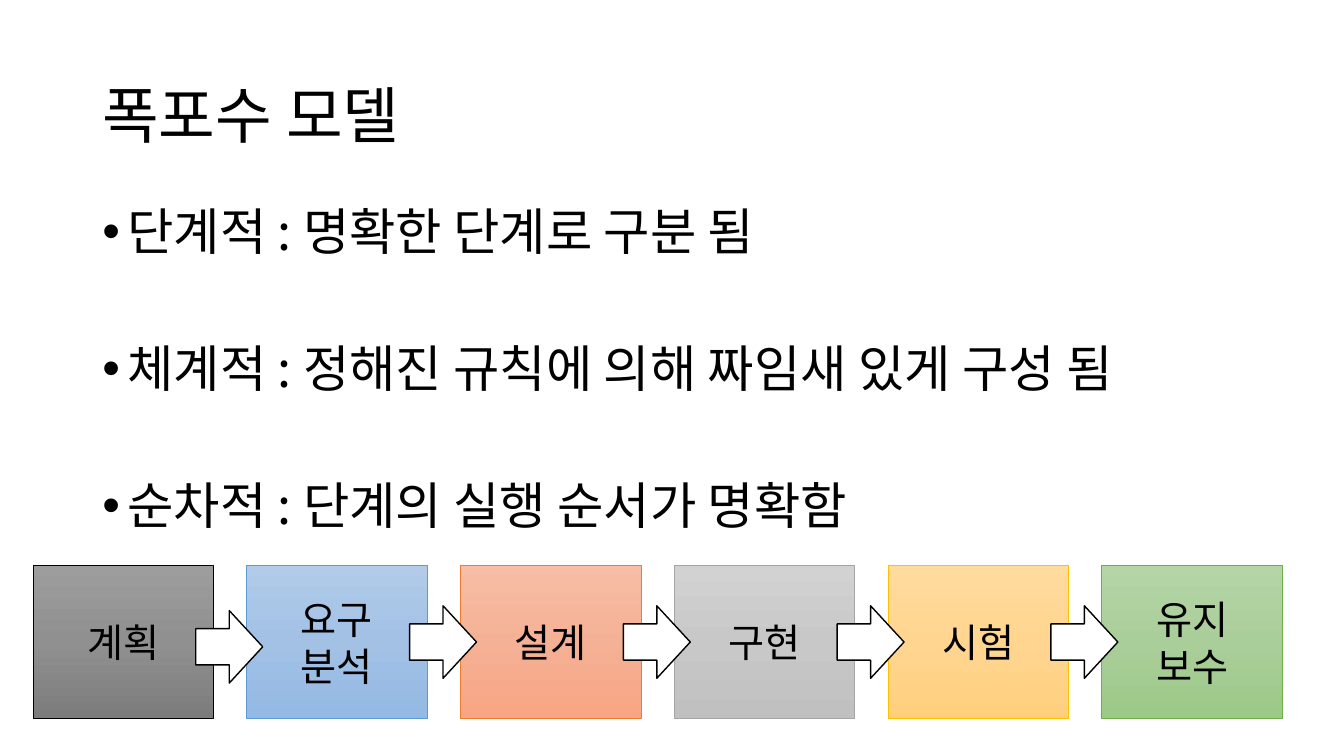
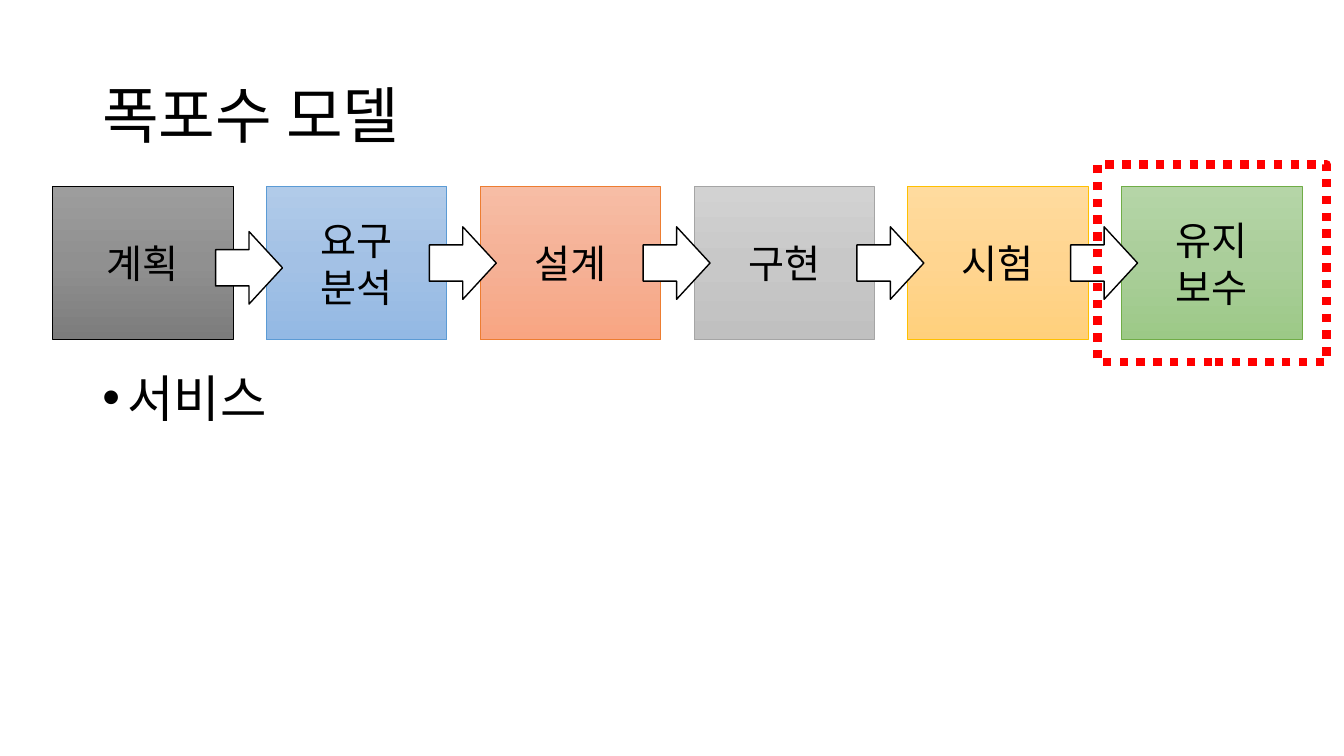
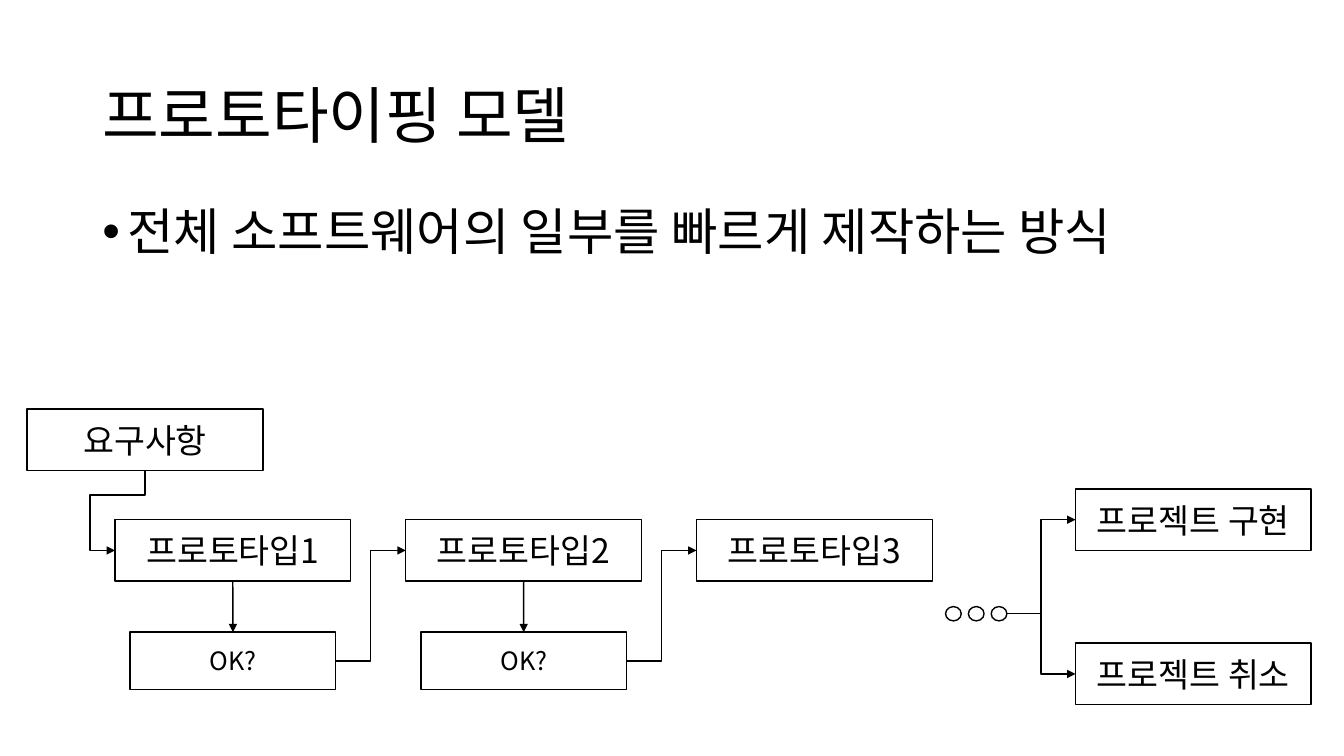
from lxml.etree import SubElement
from copy import deepcopy
from pptx import Presentation
from pptx.dml.color import RGBColor
from pptx.enum.dml import MSO_LINE
from pptx.enum.shapes import MSO_CONNECTOR, MSO_SHAPE
from pptx.enum.text import MSO_ANCHOR, PP_ALIGN
from pptx.oxml.ns import qn
from pptx.util import Pt

FONT = "Noto Sans CJK KR"
COLORS = {"ink": "000000", "paper": "FFFFFF", "focus": "FF0000"}

# Waterfall stages: lines of text, outline, gradient from top to bottom
STAGES = [
    (["계획"], "000000", ("9D9D9D", "909090", "7C7C7C")),
    (["요구", "분석"], "5B9BD5", ("B1CBE9", "A3C1E5", "93B9E4")),
    (["설계"], "ED7D31", ("F7BDA5", "F5B196", "F8A582")),
    (["구현"], "A5A5A5", ("D2D2D2", "C8C8C8", "C0C0C0")),
    (["시험"], "FFC000", ("FFDB9E", "FFD590", "FFD07C")),
    (["유지", "보수"], "70AD47", ("B5D5A7", "AACE9A", "9CC987")),
]
STAGE_W, STAGE_H, STAGE_PITCH = 128.9, 109.6, 152.7
TITLE_LEFT, TITLE_WIDTH = 66, 828


def rgb(color):
    return RGBColor.from_string(COLORS.get(color, color))


def points(*lengths):
    return [Pt(length) for length in lengths]


def write(holder, lines, size=24, align=PP_ALIGN.CENTER, anchor=MSO_ANCHOR.MIDDLE,
          leading=1.2, gap=0, bullet=None):
    frame = holder.text_frame
    frame.word_wrap = True
    frame.vertical_anchor = anchor
    for i, line in enumerate(lines):
        paragraph = frame.add_paragraph() if i else frame.paragraphs[0]
        paragraph.alignment = align
        paragraph.line_spacing = Pt(size * leading)
        paragraph.space_before = Pt(gap if i else 0)
        run = paragraph.add_run()
        run.text = line
        run.font.size = Pt(size)
        run.font.name = FONT
        run.font.color.rgb = rgb("ink")
        SubElement(run.font._element, qn("a:ea"), typeface=FONT)
        if bullet:
            props = paragraph._p.get_or_add_pPr()
            props.set("marL", str(Pt(18)))
            props.set("indent", str(Pt(-18)))
            SubElement(props, qn("a:buFont"), typeface="Arial")
            SubElement(props, qn("a:buChar"), char=bullet)


def add_figure(slide, preset, box, fill="paper", line="ink", weight=1):
    figure = slide.shapes.add_shape(preset, *points(*box))
    figure.shadow.inherit = False
    figure.line.color.rgb = rgb(line)
    figure.line.width = Pt(weight)
    if fill:
        figure.fill.solid()
        figure.fill.fore_color.rgb = rgb(fill)
    else:
        figure.fill.background()
    return figure


def add_step(slide, left, top, label, width=168.4, height=44, size=24):
    step = add_figure(slide, MSO_SHAPE.RECTANGLE, (left, top, width, height))
    write(step, [label], size=size)
    return step


def shade(figure, colors):
    """Fill from top to bottom with three colours."""
    figure.fill.gradient()
    figure.fill.gradient_angle = 270
    stop_list = figure._element.spPr.find(".//" + qn("a:gsLst"))
    stop_list.insert(1, deepcopy(stop_list[0]))
    for stop, color, position in zip(figure.fill.gradient_stops, colors, (0, 0.5, 1)):
        stop.color.rgb = rgb(color)
        stop.position = position


def add_arrow(slide, start, end, kind=MSO_CONNECTOR.ELBOW):
    arrow = slide.shapes.add_connector(kind, *points(*start, *end))
    arrow.line.color.rgb = rgb("ink")
    arrow.line.width = Pt(1)
    SubElement(arrow.line._get_or_add_ln(), qn("a:tailEnd"), type="triangle")
    SubElement(arrow._element.spPr, qn("a:effectLst"))
    return arrow


def join(slide, source, source_side, target, target_side, kind=MSO_CONNECTOR.ELBOW):
    arrow = add_arrow(slide, (0, 0), (0, 0), kind)
    arrow.begin_connect(source, source_side)
    arrow.end_connect(target, target_side)


def add_wrap_arrow(slide, start, end, drop, overshoot):
    """Go down from start, left past end, then right into end."""
    run, rise = end[1] - start[1], start[0] - end[0]
    center_x, center_y = (start[0] + end[0]) / 2, (start[1] + end[1]) / 2
    arrow = add_arrow(slide, (center_x - run / 2, center_y - rise / 2),
                      (center_x + run / 2, center_y + rise / 2))
    properties = arrow._element.spPr
    properties.find(qn("a:xfrm")).set("rot", "5400000")
    geometry = properties.find(qn("a:prstGeom"))
    geometry.set("prst", "bentConnector4")
    guides = geometry.find(qn("a:avLst"))
    if guides is None:
        guides = SubElement(geometry, qn("a:avLst"))
    for name, share in (("adj1", drop / run), ("adj2", 1 + overshoot / rise)):
        SubElement(guides, qn("a:gd"), name=name, fmla=f"val {round(share * 100000)}")


def add_content_slide(deck, title, bullets, top=144, height=342.7):
    slide = deck.slides.add_slide(deck.slide_layouts[6])
    heading = slide.shapes.add_textbox(*points(TITLE_LEFT, 28.8, TITLE_WIDTH, 104.4))
    write(heading, [title], size=44, align=PP_ALIGN.LEFT)
    body = slide.shapes.add_textbox(*points(TITLE_LEFT, top, TITLE_WIDTH, height))
    write(body, bullets, size=36, align=PP_ALIGN.LEFT, anchor=MSO_ANCHOR.TOP,
          leading=1.08, gap=59, bullet="•")
    return slide


def add_waterfall(slide, left, top):
    for i, (lines, outline, colors) in enumerate(STAGES):
        stage = add_figure(slide, MSO_SHAPE.RECTANGLE,
                           (left + i * STAGE_PITCH, top, STAGE_W, STAGE_H),
                           line=outline, weight=0.5)
        shade(stage, colors)
        write(stage, lines, size=28)
    for i in range(len(STAGES) - 1):
        arrow_top = top + (28.8 if i else 32.2)
        add_figure(slide, MSO_SHAPE.RIGHT_ARROW,
                   (left + 116.4 + i * STAGE_PITCH, arrow_top, 47.8, 51.8))


def add_prototyping_flow(slide):
    # Requirements and prototype rounds
    add_step(slide, 19.4, 292.1, "요구사항")
    prototypes = [add_step(slide, 82.1 + i * 207.7, 371.2, f"프로토타입{i + 1}")
                  for i in range(3)]
    add_wrap_arrow(slide, (103.6, 336.1), (82.1, 393.2), drop=17.6, overshoot=18)
    for i, (current, following) in enumerate(zip(prototypes, prototypes[1:])):
        check = add_step(slide, 92.9 + i * 207.7, 451.6, "OK?", width=147, height=41, size=18)
        join(slide, current, 2, check, 0, MSO_CONNECTOR.STRAIGHT)
        join(slide, check, 3, following, 1)

    # Further rounds, then the two outcomes
    for i in range(3):
        add_figure(slide, MSO_SHAPE.OVAL, (675.4 + i * 16.3, 433.3, 11.2, 10.2))
    for top, label in ((349.2, "프로젝트 구현"), (459.4, "프로젝트 취소")):
        add_step(slide, 768.2, top, label)
        add_arrow(slide, (719.2, 438.4), (768.2, top + 22))


def main():
    deck = Presentation()
    deck.slide_width, deck.slide_height = points(960, 540)

    traits = add_content_slide(deck, "폭포수 모델", [
        "단계적 : 명확한 단계로 구분 됨",
        "체계적 : 정해진 규칙에 의해 짜임새 있게 구성 됨",
        "순차적 : 단계의 실행 순서가 명확함",
    ])
    add_waterfall(traits, 23.5, 403.9)

    maintenance = add_content_slide(deck, "폭포수 모델", ["서비스"], top=262.8, height=260.6)
    add_waterfall(maintenance, 37.6, 133.2)
    focus = add_figure(maintenance, MSO_SHAPE.RECTANGLE, (784.1, 117.4, 163.4, 141.1),
                       fill=None, line="focus", weight=6)
    focus.line.dash_style = MSO_LINE.ROUND_DOT

    prototyping = add_content_slide(deck, "프로토타이핑 모델",
                                    ["전체 소프트웨어의 일부를 빠르게 제작하는 방식"])
    add_prototyping_flow(prototyping)

    deck.save("out.pptx")


if __name__ == "__main__":
    main()
